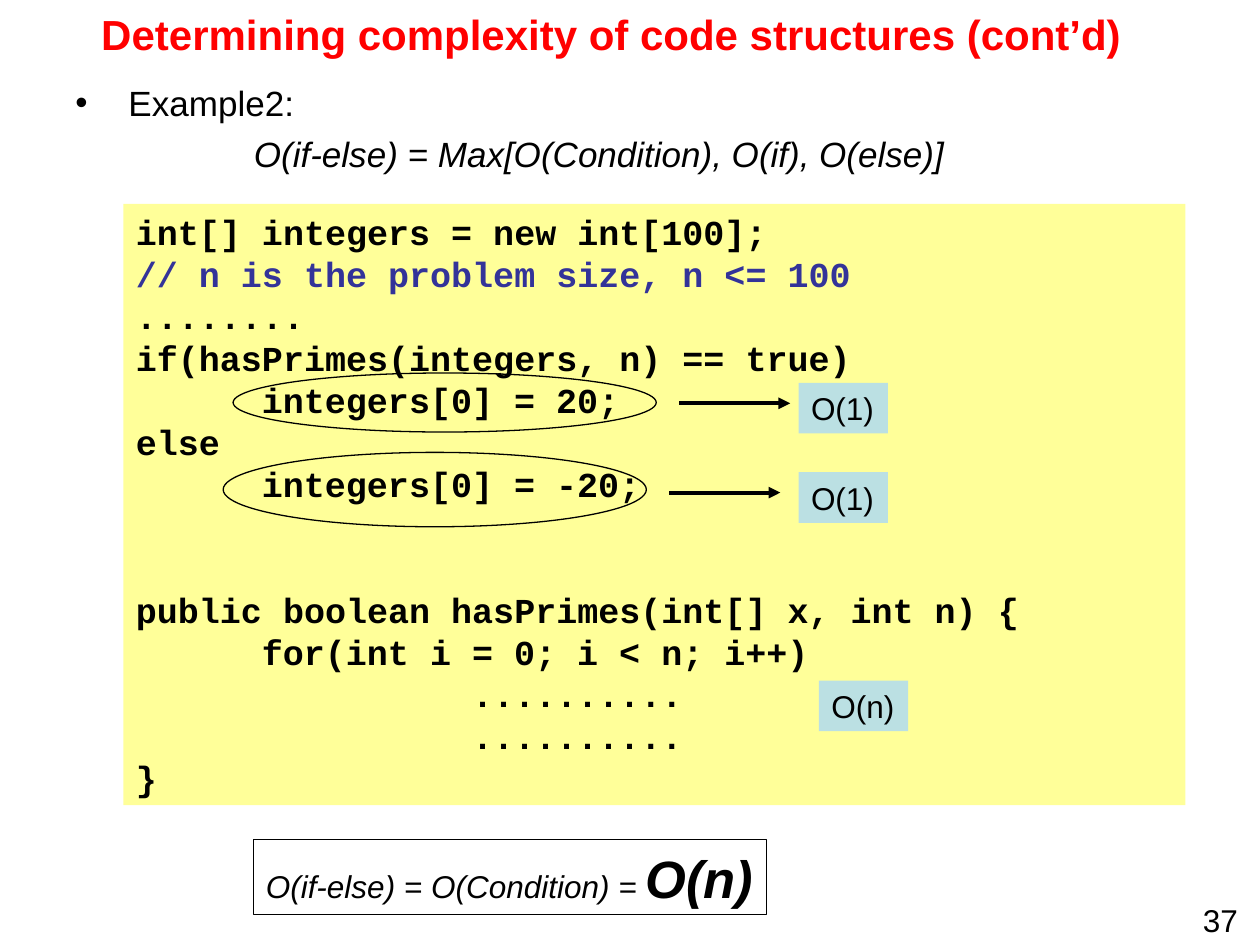
from lxml import etree
from pptx import Presentation
from pptx import util as u
from pptx.dml.color import RGBColor
from pptx.enum import shapes, text
from pptx.oxml.ns import qn

BLACK, RED, NAVY, YELLOW, BLUE = "000000", "FF0000", "333399", "FFFF99", "BBE0E3"
PLAIN = dict(name="Arial", size=u.Pt(18), bold=False, italic=False)
CODE_FONT = dict(name="Courier New", size=u.Pt(20), bold=True)
LINE = 24
TAB = 2.54

TITLE = "Determining complexity of code structures (cont’d)"
EXAMPLE = "Example2:"
RULE = "O(if-else) = Max[O(Condition), O(if), O(else)]"
RESULT = [("O(if-else) = O(Condition) = ", dict(italic=True)),
          ("O(n)", dict(italic=True, bold=True, size=u.Pt(30)))]
CODE_BLOCKS = [
    ["int[] integers = new int[100];",
     "// n is the problem size, n <= 100",
     "........",
     "if(hasPrimes(integers, n) == true)",
     "   \tintegers[0] = 20;",
     "else",
     "\tintegers[0] = -20;"],
    ["public boolean hasPrimes(int[] x, int n) {",
     "\tfor(int i = 0; i < n; i++)",
     "\t          ..........",
     "\t          ..........",
     "}"],
]
COSTS = [("O(1)", 16.1, 7.72), ("O(1)", 16.1, 9.52), ("O(n)", 16.51, 13.72)]
RINGS = [(4.7, 7.52, 8.53, 1.19), (4.5, 9.12, 8.53, 1.5)]
ARROWS = [(13.69, 8.13), (13.49, 9.93)]
ARROW_LENGTH = 2.24


def rgb(value):
    """Turn a hex string into a colour."""
    return RGBColor.from_string(value)


def place(sp, left, top, width, height):
    """Position a shape, with lengths in centimetres."""
    sp.left, sp.top, sp.width, sp.height = map(u.Cm, (left, top, width, height))


def write(p, words, color=BLACK, **formats):
    """Add one formatted run to a paragraph."""
    r = p.add_run()
    r.text = words
    for key, value in {**PLAIN, **formats}.items():
        setattr(r.font, key, value)
    r.font.color.rgb = rgb(color)


def setup(sp, wrap=True, anchor=text.MSO_ANCHOR.TOP):
    """Format a text frame and return it."""
    tf = sp.text_frame
    formats = dict(word_wrap=wrap, auto_size=text.MSO_AUTO_SIZE.NONE,
                   vertical_anchor=anchor, margin_left=u.Cm(0.25), margin_right=u.Cm(0.25),
                   margin_top=u.Cm(0.13), margin_bottom=u.Cm(0.13))
    for key, value in formats.items():
        setattr(tf, key, value)
    tf.paragraphs[0].alignment = text.PP_ALIGN.LEFT
    return tf


def draw(s, kind, box, fill=None, line=None):
    """Add a preset shape with an optional fill and outline."""
    sp = s.shapes.add_shape(kind, *map(u.Cm, box))
    sp.shadow.inherit = False
    if fill:
        sp.fill.solid()
        sp.fill.fore_color.rgb = rgb(fill)
    else:
        sp.fill.background()
    if line:
        sp.line.color.rgb = rgb(line)
        sp.line.width = u.Pt(0.75)
    else:
        sp.line.fill.background()
    return sp


def bullet(p, char, margin, indent):
    """Set the bullet and indents of a paragraph."""
    pPr = p._p.get_or_add_pPr()
    pPr.set("marL", str(u.Cm(margin)))
    pPr.set("indent", str(u.Cm(indent)))
    if char:
        etree.SubElement(pPr, qn("a:buChar")).set("char", char)
    else:
        etree.SubElement(pPr, qn("a:buNone"))


def add_tab(p):
    """Give a paragraph its left tab stop."""
    tabs = etree.SubElement(p._p.get_or_add_pPr(), qn("a:tabLst"))
    etree.SubElement(tabs, qn("a:tab"), pos=str(u.Cm(TAB)), algn="l")


def add_text(s):
    """Fill the title and body placeholders."""
    title, body = s.shapes.title, s.placeholders[1]
    place(title, 0.89, 0, 22.86, 1.37)
    p = setup(title, anchor=text.MSO_ANCHOR.MIDDLE).paragraphs[0]
    p.alignment = text.PP_ALIGN.CENTER
    write(p, TITLE, RED, size=u.Pt(24), bold=True)
    place(body, 1.27, 1.52, 22.63, 16.41)
    tf = setup(body)
    p = tf.paragraphs[0]
    bullet(p, "•", 1.07, -1.07)
    p.space_before = u.Pt(0)
    write(p, EXAMPLE, size=u.Pt(20))
    p = tf.add_paragraph()
    bullet(p, None, 3.6, 0)
    p.space_before = u.Pt(5)
    write(p, RULE, size=u.Pt(20), italic=True)


def add_code(s):
    """Add the code panel, with a two-line gap between blocks."""
    tf = setup(draw(s, shapes.MSO_SHAPE.RECTANGLE, (2.49, 4.11, 21.41, 12.12), YELLOW))
    tf.margin_top, tf.margin_bottom = u.Cm(0.14), u.Cm(0.05)
    p = None
    for block in CODE_BLOCKS:
        for i, words in enumerate(block):
            gap = 2 * LINE if p is not None and i == 0 else 0
            p = tf.paragraphs[0] if p is None else tf.add_paragraph()
            add_tab(p)
            p.alignment = text.PP_ALIGN.LEFT
            p.line_spacing, p.space_before = u.Pt(LINE), u.Pt(gap)
            write(p, words, NAVY if words.startswith("//") else BLACK, **CODE_FONT)


def add_arrow(s, left, top):
    """Add a horizontal arrow pointing right."""
    c = s.shapes.add_connector(shapes.MSO_CONNECTOR.STRAIGHT, u.Cm(left), u.Cm(top),
                               u.Cm(left + ARROW_LENGTH), u.Cm(top))
    c.line.color.rgb = rgb(BLACK)
    c.line.width = u.Pt(2.25)
    etree.SubElement(c.line._get_or_add_ln(), qn("a:tailEnd")).set("type", "triangle")
    etree.SubElement(c._element.spPr, qn("a:effectLst"))


def main():
    """Build the slide and save it."""
    prs = Presentation()
    prs.slide_width, prs.slide_height = u.Cm(25.4), u.Cm(19.05)
    s = prs.slides.add_slide(prs.slide_layouts[1])
    add_text(s)
    add_code(s)
    for box in RINGS:
        draw(s, shapes.MSO_SHAPE.OVAL, box, line=BLACK)
    for left, top in ARROWS:
        add_arrow(s, left, top)
    for words, left, top in COSTS:
        sp = draw(s, shapes.MSO_SHAPE.RECTANGLE, (left, top, 1.8, 1.02), BLUE)
        write(setup(sp).paragraphs[0], words)
    sp = draw(s, shapes.MSO_SHAPE.RECTANGLE, (5.11, 16.92, 10.34, 1.52), line=BLACK)
    p = setup(sp, wrap=False).paragraphs[0]
    for words, formats in RESULT:
        write(p, words, **formats)
    number = s.shapes.add_textbox(*map(u.Cm, (24, 18.03, 1.4, 1.02)))
    write(setup(number).paragraphs[0], "37")
    prs.save("out.pptx")


if __name__ == "__main__":
    main()
